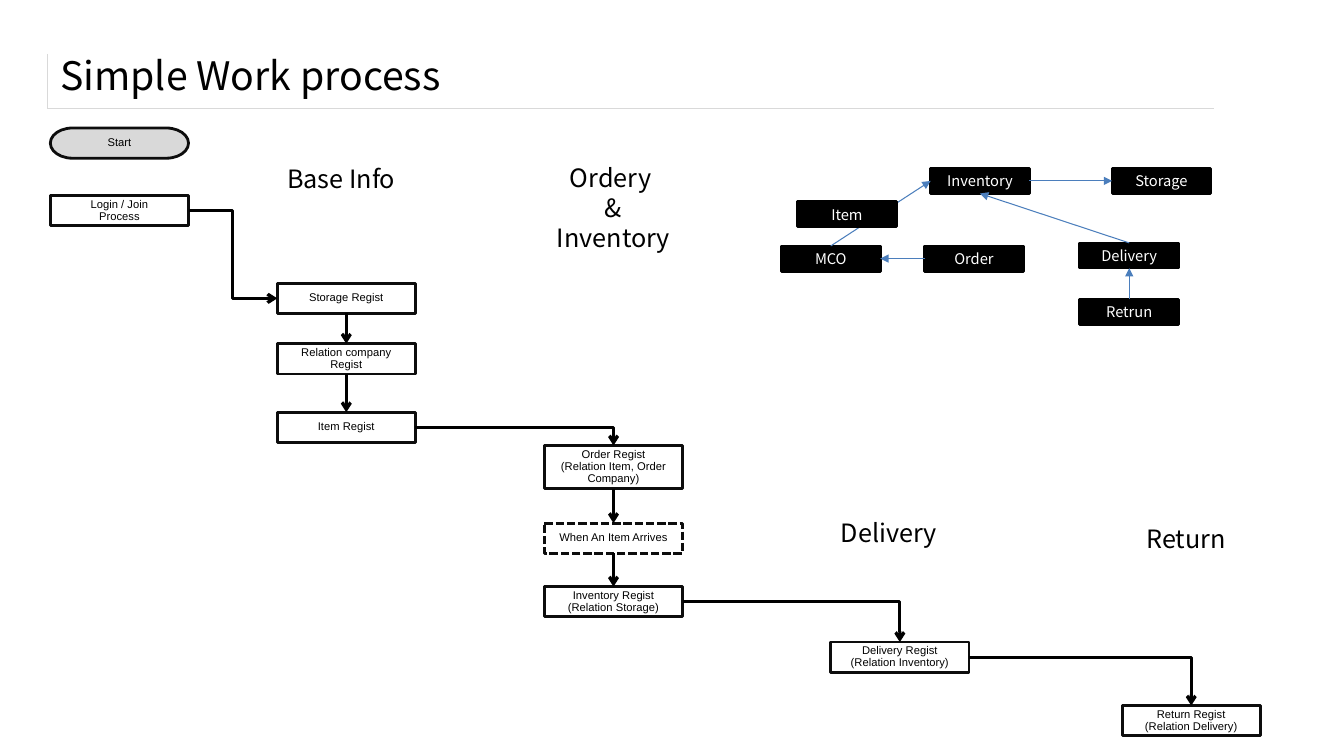
"""Build the "Simple Work process" slide with its flow chart and relation map."""
from lxml import etree
from pptx import Presentation
from pptx import util as u
from pptx.dml.color import RGBColor
from pptx.enum import dml, shapes, text
from pptx.oxml import parse_xml
from pptx.oxml.ns import nsdecls, qn

THEME = {
    "heading_font": "Noto Sans CJK KR", "step_font": "Arial",
    "title": 28, "heading": 18, "entity": 10.5, "step": 8,
    "black": RGBColor(0, 0, 0), "white": RGBColor(255, 255, 255),
    "outline": RGBColor(0x0D, 0x0D, 0x0D), "grey": RGBColor(0xD9, 0xD9, 0xD9),
    "relation": RGBColor(0x4B, 0x7E, 0xBC),
}
TOP, LEFT, BOTTOM, RIGHT = range(4)
PROCESS = shapes.MSO_SHAPE.FLOWCHART_PROCESS


def write(shape, wording, size, font, colour="black", align=text.PP_ALIGN.CENTER, spacing=None):
    frame = shape.text_frame
    frame.word_wrap = True
    frame.text = wording
    for paragraph in frame.paragraphs:
        paragraph.alignment = align
        paragraph.line_spacing = spacing
        paragraph.font.size = u.Pt(THEME[size])
        paragraph.font.name = THEME[font]
        paragraph.font.color.rgb = THEME[colour]


def connect(kind, start, start_side, end, end_side, colour, width, head):
    arrow = slide.shapes.add_connector(kind, 0, 0, 0, 0)
    arrow.begin_connect(start, start_side)
    arrow.end_connect(end, end_side)
    arrow.line.color.rgb = THEME[colour]
    arrow.line.width = u.Pt(width)
    etree.SubElement(arrow.get_or_add_ln(), qn("a:tailEnd"), type=head)
    etree.SubElement(arrow.element.spPr, qn("a:effectLst"))
    if kind == shapes.MSO_CONNECTOR.ELBOW and end_side == TOP:
        arrow.element.spPr.find(qn("a:prstGeom")).set("prst", "bentConnector2")


deck = Presentation()
deck.slide_width, deck.slide_height = u.Inches(13.33), u.Inches(7.5)
slide = deck.slides.add_slide(deck.slide_layouts[6])

title_rule = slide.shapes.add_table(
    1, 1, u.Inches(0.47), u.Inches(0.54), u.Inches(11.56), u.Inches(0.53)).table
rule_cell = title_rule.cell(0, 0)
rule_cell.fill.background()
for position, side in enumerate(("lnL", "lnB")):
    rule_cell._tc.get_or_add_tcPr().insert(position, parse_xml(
        f'<a:{side} {nsdecls("a")} w="3175"><a:solidFill>'
        f'<a:srgbClr val="{THEME["grey"]}"/></a:solidFill></a:{side}>'))

title = slide.shapes.add_textbox(u.Inches(0.5), u.Inches(0.41), u.Inches(12.49), u.Inches(0.67))
write(title, "Simple Work process", "title", "heading_font", align=text.PP_ALIGN.LEFT)
title.text_frame.vertical_anchor = text.MSO_ANCHOR.MIDDLE

STEPS = [
    ("start", 0.5, 1.27, 0.3, "Start"),
    ("login", 0.5, 1.94, 0.3, "Login / Join\nProcess"),
    ("storage", 2.75, 2.81, 0.3, "Storage Regist"),
    ("company", 2.75, 3.41, 0.3, "Relation company\nRegist"),
    ("item", 2.75, 4.09, 0.3, "Item Regist"),
    ("order", 5.4, 4.42, 0.43, "Order Regist\v(Relation Item, Order Company)"),
    ("arrival", 5.4, 5.19, 0.3, "When An Item Arrives"),
    ("inventory", 5.4, 5.82, 0.3, "Inventory Regist\n(Relation Storage)"),
    ("delivery", 8.24, 6.37, 0.3, "Delivery Regist\n(Relation Inventory)"),
    ("return", 11.13, 7, 0.3, "Return Regist\n(Relation Delivery)"),
]
steps = {}
for key, left, top, height, wording in STEPS:
    outline = shapes.MSO_SHAPE.FLOWCHART_TERMINATOR if key == "start" else PROCESS
    step = slide.shapes.add_shape(
        outline, u.Inches(left), u.Inches(top), u.Inches(1.37), u.Inches(height))
    step.shadow.inherit = False
    step.fill.solid()
    step.fill.fore_color.rgb = THEME["grey" if key == "start" else "white"]
    step.line.color.rgb = THEME["outline"]
    step.line.width = u.Pt(2)
    write(step, wording, "step", "step_font", spacing=0.9)
    steps[key] = step
steps["arrival"].line.dash_style = dml.MSO_LINE.SQUARE_DOT

FLOW = [
    ("login", RIGHT, "storage", LEFT),
    ("storage", BOTTOM, "company", TOP),
    ("company", BOTTOM, "item", TOP),
    ("item", RIGHT, "order", TOP),
    ("order", BOTTOM, "arrival", TOP),
    ("arrival", BOTTOM, "inventory", TOP),
    ("inventory", RIGHT, "delivery", TOP),
    ("delivery", RIGHT, "return", TOP),
]
for start, start_side, end, end_side in FLOW:
    kind = shapes.MSO_CONNECTOR.ELBOW if start_side == RIGHT else shapes.MSO_CONNECTOR.STRAIGHT
    connect(kind, steps[start], start_side, steps[end], end_side, "black", 2.25, "arrow")

HEADINGS = [
    (2.65, 1.57, 0.4, "Base Info"),
    (5.35, 1.56, 1.01, "Ordery \n&\nInventory"),
    (8.08, 5.08, 0.4, "Delivery"),
    (11.03, 5.14, 0.4, "Return"),
]
for left, top, height, wording in HEADINGS:
    heading = slide.shapes.add_textbox(
        u.Inches(left), u.Inches(top), u.Inches(1.47), u.Inches(height))
    write(heading, wording, "heading", "heading_font")

ENTITIES = [
    ("Order", 9.17, 2.44), ("MCO", 7.75, 2.44), ("Inventory", 9.23, 1.67),
    ("Storage", 11.03, 1.67), ("Delivery", 10.71, 2.41), ("Retrun", 10.71, 2.97),
    ("Item", 7.91, 2),
]
RELATIONS = [
    ("Order", LEFT, "MCO", RIGHT),
    ("MCO", TOP, "Inventory", LEFT),
    ("Inventory", RIGHT, "Storage", LEFT),
    ("Delivery", TOP, "Inventory", BOTTOM),
    ("Retrun", TOP, "Delivery", BOTTOM),
]
entities = {}
for name, left, top in ENTITIES:
    if name == "Item":
        for start, start_side, end, end_side in RELATIONS:
            connect(shapes.MSO_CONNECTOR.STRAIGHT, entities[start], start_side,
                    entities[end], end_side, "relation", 0.75, "triangle")
    entity = slide.shapes.add_shape(
        shapes.MSO_SHAPE.RECTANGLE, u.Inches(left), u.Inches(top), u.Inches(0.98), u.Inches(0.25))
    entity.shadow.inherit = False
    entity.fill.solid()
    entity.fill.fore_color.rgb = THEME["black"]
    entity.line.color.rgb = THEME["black"]
    entity.line.width = u.Pt(2)
    write(entity, name, "entity", "heading_font", "white")
    entities[name] = entity

deck.save("out.pptx")
